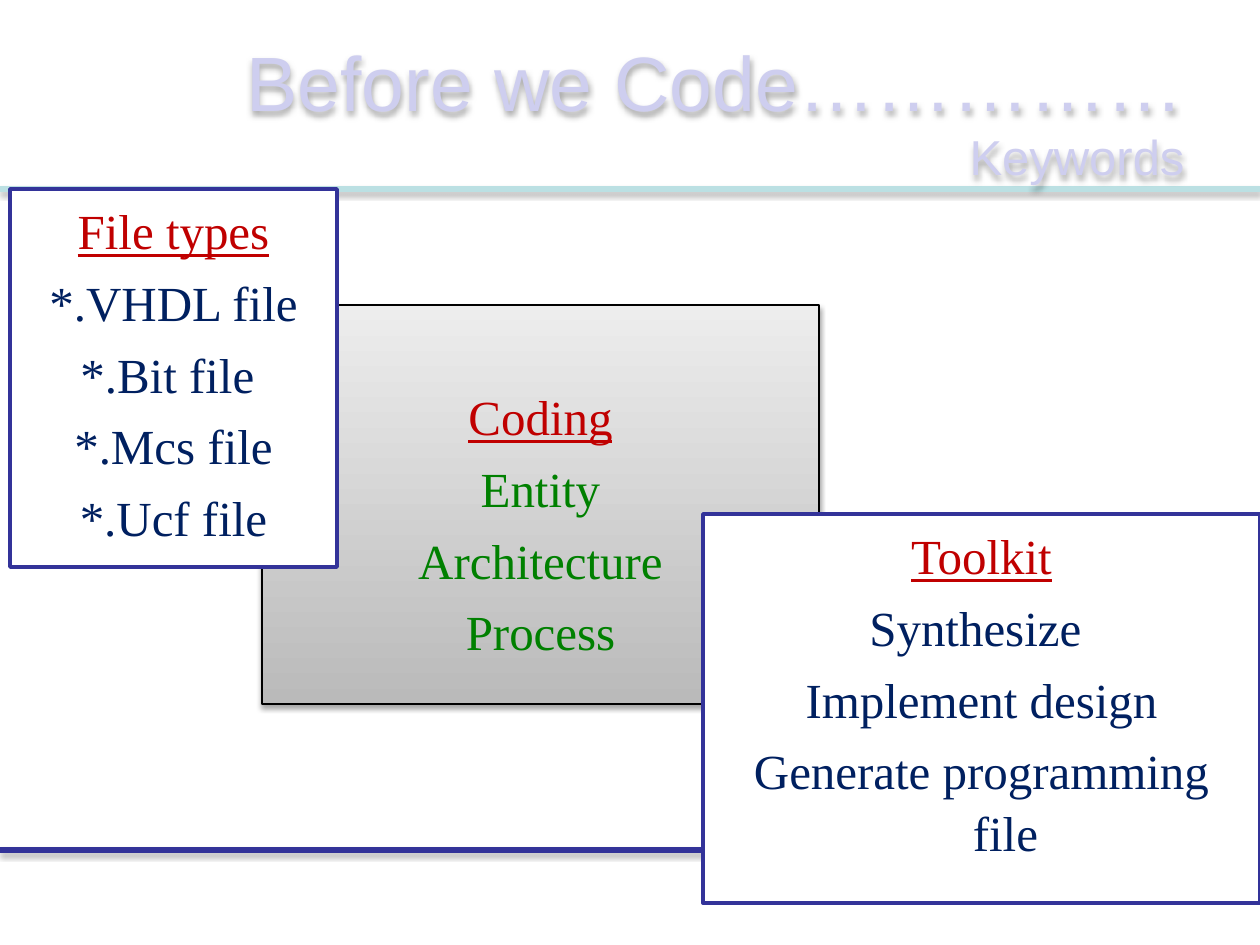
from lxml import etree
from pptx import Presentation
from pptx.dml.color import RGBColor
from pptx.enum.shapes import MSO_CONNECTOR, MSO_SHAPE
from pptx.enum.text import MSO_ANCHOR, MSO_AUTO_SIZE, PP_ALIGN
from pptx.oxml.ns import qn
from pptx.util import Emu, Pt

STRAIGHT = MSO_CONNECTOR.STRAIGHT
RECTANGLE = MSO_SHAPE.RECTANGLE
CENTER, RIGHT = PP_ALIGN.CENTER, PP_ALIGN.RIGHT
TOP, MIDDLE = MSO_ANCHOR.TOP, MSO_ANCHOR.MIDDLE
NO_FIT = MSO_AUTO_SIZE.NONE

PX = 914400 / 126
TWO_CONTENT = 3
COLORS = {
    "white": "FFFFFF",
    "black": "000000",
    "navy": "333399",
    "aqua": "BBE0E3",
    "lilac": "CECEEF",
    "red": "C00000",
    "green": "008000",
    "ink": "002060",
    "light": "EDEDED",
    "grey": "BABABA",
}


def px(value):
    return Emu(round(value * PX))


def color(name):
    return RGBColor.from_string(COLORS[name])


def assign(target, values):
    for name, value in values.items():
        setattr(target, name, value)


class Slide:
    heading = {"size": Pt(28), "name": "Times New Roman", "underline": True}
    item = {"size": Pt(28), "name": "Times New Roman", "underline": False}
    indent = 48

    def __init__(self, deck):
        self.page = deck.slides.add_slide(deck.slide_layouts[TWO_CONTENT])

    def place(self, shape, left, top, width, height):
        assign(shape, {"left": px(left), "top": px(top),
                       "width": px(width), "height": px(height)})

    def shadow(self, shape):
        effects = etree.SubElement(shape.element.spPr, qn("a:effectLst"))
        outer = etree.SubElement(effects, qn("a:outerShdw"), blurRad=str(Pt(3.1)),
                                 dist=str(Pt(1.8)), dir="5400000", rotWithShape="0")
        tone = etree.SubElement(outer, qn("a:srgbClr"), val=COLORS["black"])
        etree.SubElement(tone, qn("a:alpha"), val="35000")

    def outline(self, shape, line, width):
        shape.line.color.rgb = color(line)
        shape.line.width = Pt(width)

    def rule(self, top, line):
        connector = self.page.shapes.add_connector(
            STRAIGHT, 0, px(top), px(1260), px(top))
        self.outline(connector, line, 3)
        self.shadow(connector)
        self.page.shapes.element.insert(2, connector.element)

    def span(self, para, text, font, tone):
        span = para.add_run()
        span.text = text
        assign(span.font, font)
        span.font.color.rgb = color(tone)

    def title(self, bounds, text, subtitle):
        box = self.page.shapes.title
        self.place(box, *bounds)
        box.fill.background()
        self.shadow(box)
        assign(box.text_frame, {"word_wrap": True, "auto_size": NO_FIT,
                                "vertical_anchor": MIDDLE})
        para = box.text_frame.paragraphs[0]
        para.alignment = RIGHT
        self.span(para, text, {"size": Pt(44), "name": "Arial"}, "lilac")
        para.add_line_break()
        self.span(para, subtitle, {"size": Pt(28), "name": "Arial"}, "lilac")

    def card(self, box, bounds, fill, line, width):
        self.place(box, *bounds)
        if len(fill) == 1:
            box.fill.solid()
            box.fill.fore_color.rgb = color(fill[0])
        else:
            box.fill.gradient()
            box.fill.gradient_angle = 270
            for stop, tone in zip(box.fill.gradient_stops, fill):
                stop.color.rgb = color(tone)
        self.outline(box, line, width)

    def words(self, box, heading, items, tone, inset=9):
        frame = box.text_frame
        assign(frame, {"word_wrap": True, "auto_size": NO_FIT,
                       "vertical_anchor": TOP, "margin_top": px(inset)})
        for index, text in enumerate([heading, *items]):
            para = frame.add_paragraph() if index else frame.paragraphs[0]
            properties = para._p.get_or_add_pPr()
            properties.set("marL", str(px(self.indent)))
            properties.set("indent", str(px(-self.indent)))
            etree.SubElement(properties, qn("a:buNone"))
            assign(para, {"alignment": CENTER, "line_spacing": 1.05,
                          "space_before": Pt(5.6 if index else 0)})
            if index:
                self.span(para, text, self.item, tone)
            else:
                self.span(para, text, self.heading, "red")


def main():
    deck = Presentation()
    deck.slide_width, deck.slide_height = px(1260), px(945)
    slide = Slide(deck)
    slide.rule(189, "aqua")
    slide.rule(850, "navy")
    slide.title((53, 31, 1144, 158), "Before we Code……………", "Keywords")

    coding, files = list(slide.page.placeholders)[1:3]
    slide.card(coding, (262, 305, 557, 399), ("light", "grey"), "black", 0.75)
    slide.shadow(coding)
    slide.words(coding, "Coding", ["Entity", "Architecture", "Process"], "green", 79)

    slide.card(files, (10, 189, 327, 378), ("white",), "navy", 2)
    slide.words(files, "File types",
                ["*.VHDL file", "*.Bit file ", "*.Mcs file", "*.Ucf file"], "ink")

    tools = slide.page.shapes.add_shape(RECTANGLE, 0, 0, 0, 0)
    tools.shadow.inherit = False
    slide.card(tools, (703, 514, 557, 389), ("white",), "navy", 2)
    slide.words(tools, "Toolkit",
                ["Synthesize ", "Implement design", "Generate programming file"], "ink")
    deck.save("out.pptx")


if __name__ == "__main__":
    main()
